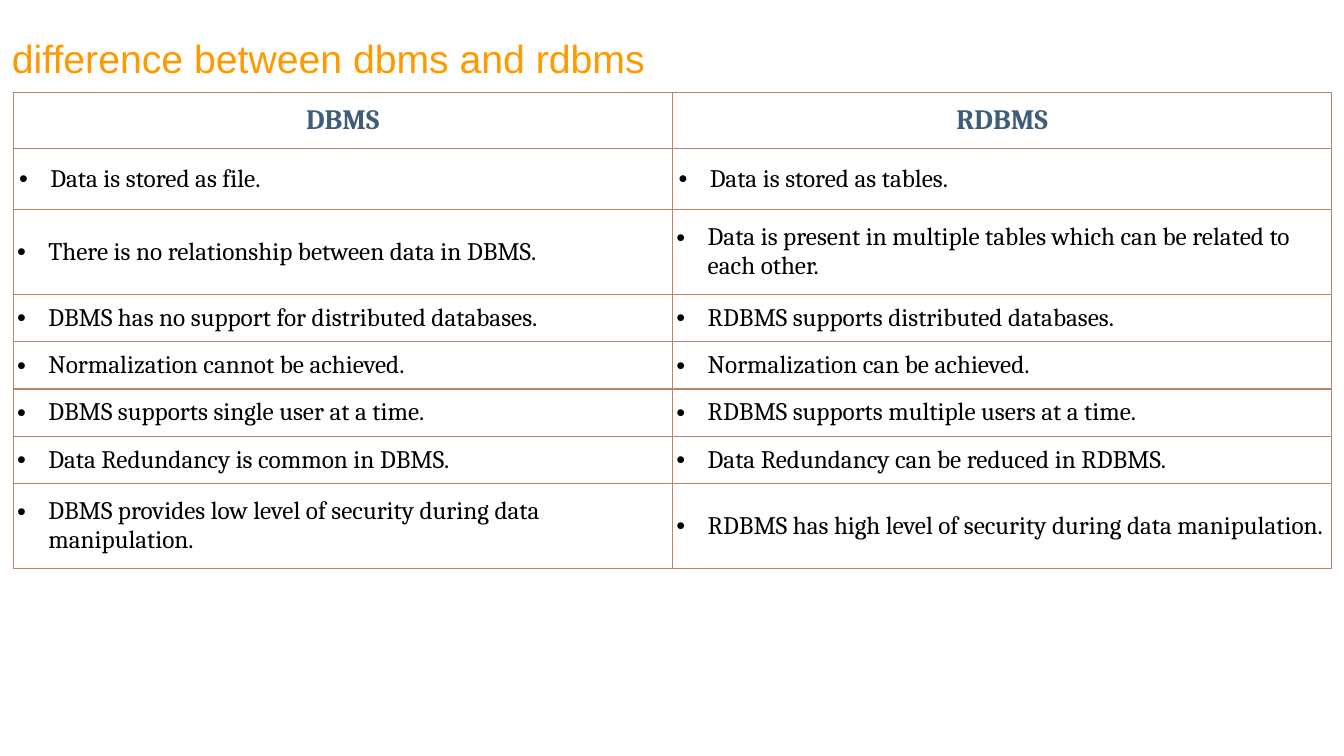
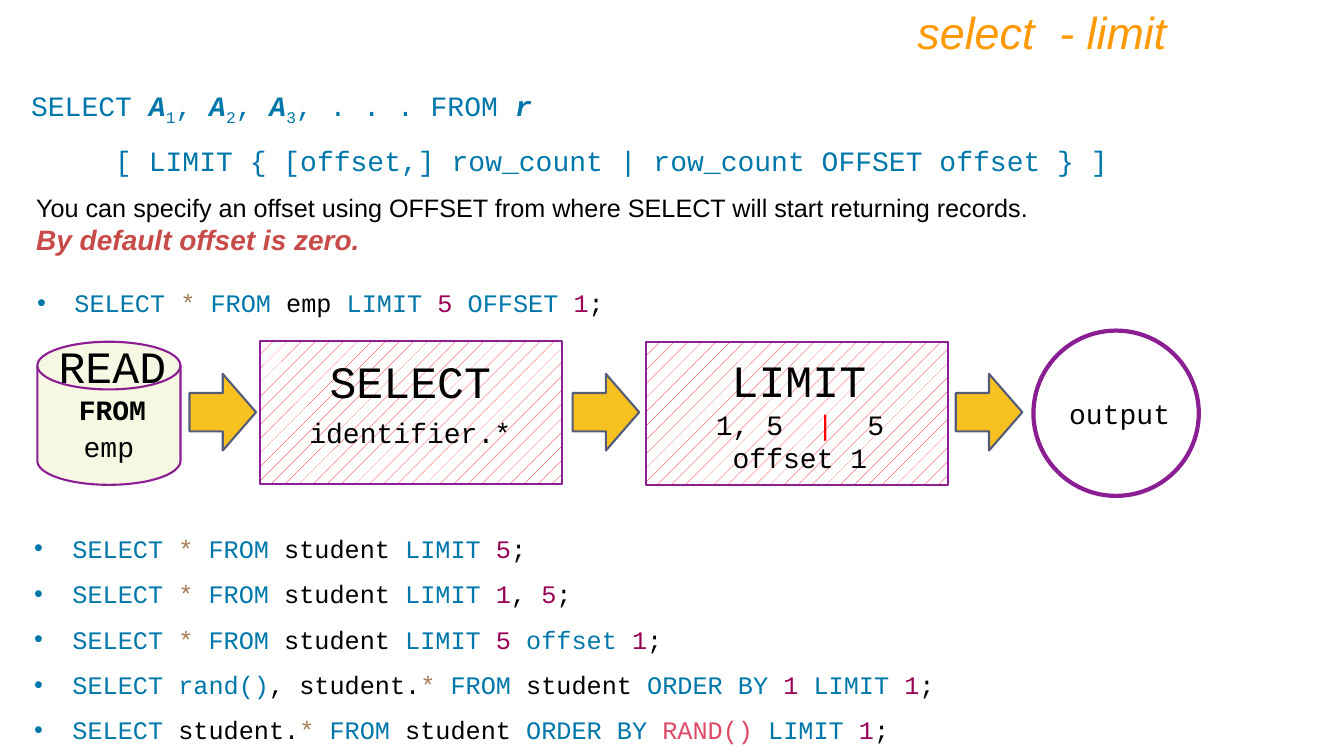
import itertools

import pptx
import pptx.dml.color
import pptx.enum.dml
import pptx.enum.shapes
import pptx.enum.text
import pptx.oxml.ns
import pptx.util
from lxml import etree

Inches = pptx.util.Inches
Pt = pptx.util.Pt
RGBColor = pptx.dml.color.RGBColor
Align = pptx.enum.text.PP_ALIGN
Shape = pptx.enum.shapes.MSO_SHAPE
qn = pptx.oxml.ns.qn

ORANGE = RGBColor(0xFF, 0x99, 0x00)
BLACK = RGBColor(0x00, 0x00, 0x00)
WHITE = RGBColor(0xFF, 0xFF, 0xFF)
RED = RGBColor(0xFF, 0x00, 0x00)
BRICK = RGBColor(0xC7, 0x4C, 0x49)
SLATE = RGBColor(0x3E, 0x5D, 0x78)
BORDER = RGBColor(0xB8, 0x84, 0x72)
PURPLE = RGBColor(0x8A, 0x1E, 0x92)
YELLOW = RGBColor(0xF7, 0xC1, 0x20)
ARROW_EDGE = RGBColor(0x54, 0x5C, 0x79)
CREAM = RGBColor(0xF6, 0xF8, 0xE4)
KEYWORD = RGBColor(0x00, 0x77, 0xAA)
STAR = RGBColor(0xA6, 0x7F, 0x59)
NUMBER = RGBColor(0x99, 0x00, 0x55)
FUNCTION = RGBColor(0xDD, 0x4A, 0x68)

TITLE = {"name": "Arial", "color": ORANGE}
BODY = {"name": "Arial", "size": Pt(18), "color": BLACK}
EMPHASIS = {"name": "Arial", "size": Pt(20), "color": BRICK, "bold": True, "italic": True}
HEADING = {"name": "Cambria", "size": Pt(20), "color": SLATE, "bold": True}
CELL = {"name": "Cambria", "size": Pt(18), "color": BLACK}
STEP = {"name": "Courier New", "size": Pt(32), "color": BLACK}
DETAIL = {**STEP, "size": Pt(20)}
SYNTAX = {**DETAIL, "color": KEYWORD}
VARIABLE = {**SYNTAX, "bold": True, "italic": True}
QUERY = {**STEP, "size": Pt(18)}

SQL_COLORS = {
    **dict.fromkeys(["SELECT", "FROM", "LIMIT", "OFFSET", "offset", "ORDER", "BY", "rand()"], KEYWORD),
    "RAND()": FUNCTION,
    "*": STAR,
}

COMPARISON = [
    ("DBMS", "RDBMS"),
    ("Data is stored as file.", "Data is stored as tables."),
    ("There is no relationship between data in DBMS.",
     "Data is present in multiple tables which can be related to each other."),
    ("DBMS has no support for distributed databases.", "RDBMS supports distributed databases."),
    ("Normalization cannot be achieved.", "Normalization can be achieved."),
    ("DBMS supports single user at a time.", "RDBMS supports multiple users at a time."),
    ("Data Redundancy is common in DBMS.", "Data Redundancy can be reduced in RDBMS."),
    ("DBMS provides low level of security during data manipulation.",
     "RDBMS has high level of security during data manipulation."),
]
ROW_HEIGHTS = [0.55, 0.61, 0.84, 0.47, 0.47, 0.47, 0.47, 0.84]

LIMIT_QUERIES = [
    "SELECT * FROM student LIMIT 5;",
    "SELECT * FROM student LIMIT 1, 5;",
    "SELECT * FROM student LIMIT 5 offset 1;",
    "SELECT rand(), student.* FROM student ORDER BY 1 LIMIT 1;",
    "SELECT student.* FROM student ORDER BY RAND() LIMIT 1;",
]


def set_formats(target, formats):
    for attribute, value in formats.items():
        if attribute == "color":
            target.color.rgb = value
        else:
            setattr(target, attribute, value)


def add_run(paragraph, words, style, baseline=0):
    run = paragraph.add_run()
    run.text = words
    set_formats(run.font, style)
    if baseline:
        run._r.get_or_add_rPr().set("baseline", str(baseline))


def add_bullet(paragraph, indent):
    properties = paragraph._p.get_or_add_pPr()
    properties.set("marL", str(Inches(indent)))
    properties.set("indent", str(-Inches(indent)))
    etree.SubElement(properties, qn("a:buFont")).set("typeface", "Arial")
    etree.SubElement(properties, qn("a:buChar")).set("char", "•")


def add_text(slide, at, lines, bullet=0, wrap=True, **formats):
    frame = slide.shapes.add_textbox(*map(Inches, at)).text_frame
    frame.word_wrap = wrap
    for number, runs in enumerate(lines):
        paragraph = frame.add_paragraph() if number else frame.paragraphs[0]
        if bullet:
            add_bullet(paragraph, bullet)
        set_formats(paragraph, formats)
        for run in runs:
            add_run(paragraph, *run)


def add_label(slide, at, *lines):
    add_text(slide, at, lines, alignment=Align.CENTER)


def add_node(slide, preset, at, edge=PURPLE, weight=1.5, fill=None, hatched=False):
    node = slide.shapes.add_shape(preset, *map(Inches, at))
    node.shadow.inherit = False
    if hatched:
        node.fill.patterned()
        node.fill.pattern = pptx.enum.dml.MSO_PATTERN.PERCENT_5
        node.fill.fore_color.rgb = RED
        node.fill.back_color.rgb = WHITE
    elif fill is not None:
        node.fill.solid()
        node.fill.fore_color.rgb = fill
    else:
        node.fill.background()
    set_formats(node.line, {"color": edge, "width": Pt(weight)})


def add_borders(cell):
    properties = cell._tc.get_or_add_tcPr()
    for position, side in enumerate(["lnL", "lnR", "lnT", "lnB"]):
        line = etree.Element(qn(f"a:{side}"), w=str(Pt(1)))
        fill = etree.SubElement(line, qn("a:solidFill"))
        etree.SubElement(fill, qn("a:srgbClr")).set("val", str(BORDER))
        properties.insert(position, line)


def fill_cell(cell, words, row):
    margin = Inches(0.06 if row < 2 else 0.04)
    set_formats(cell, {
        "margin_left": margin, "margin_right": margin,
        "margin_top": margin, "margin_bottom": margin,
        "vertical_anchor": pptx.enum.text.MSO_ANCHOR.MIDDLE,
    })
    cell.fill.background()
    add_borders(cell)
    paragraph = cell.text_frame.paragraphs[0]
    if row == 0:
        paragraph.alignment = Align.CENTER
    else:
        add_bullet(paragraph, 0.31)
    add_run(paragraph, words, CELL if row else HEADING)


def add_comparison(slide):
    frame = slide.shapes.add_table(
        len(COMPARISON), 2, Inches(0.13), Inches(0.92), Inches(13.08), Inches(sum(ROW_HEIGHTS)))
    table = frame.table
    for column in table.columns:
        column.width = Inches(6.54)
    for row, (height, entries) in enumerate(zip(ROW_HEIGHTS, COMPARISON)):
        table.rows[row].height = Inches(height)
        for column, words in enumerate(entries):
            fill_cell(table.cell(row, column), words, row)


def token_kind(character):
    if character == "*":
        return "star"
    return "word" if character.isalnum() or character in "()" else "plain"


def highlight(query):
    runs = []
    for _, characters in itertools.groupby(query, token_kind):
        token = "".join(characters)
        color = NUMBER if token.isdigit() else SQL_COLORS.get(token, BLACK)
        runs.append((token, {**QUERY, "color": color}))
    return runs


def add_queries(slide, at, queries, indent):
    add_text(slide, at, map(highlight, queries), bullet=indent, line_spacing=1.5)


def add_syntax(slide):
    select = [("SELECT ", SYNTAX)]
    for number in "123":
        select += [("A", VARIABLE), (number, SYNTAX, -25000), (", ", SYNTAX)]
    select += [(". . . FROM ", SYNTAX), ("r", VARIABLE)]
    limit = [("     [ LIMIT { [offset,] row_count | row_count OFFSET offset } ]", SYNTAX)]
    add_text(slide, (0.21, 0.64, 12.52, 1.06), [select, limit], line_spacing=1.5)


def add_pipeline(slide):
    add_node(slide, Shape.FLOWCHART_MAGNETIC_DISK, (0.37, 3.39, 1.42, 1.42), fill=CREAM)
    for left, top in [(2.58, 3.38), (6.41, 3.39)]:
        add_node(slide, Shape.RECTANGLE, (left, top, 2.99, 1.42), hatched=True)
    add_node(slide, Shape.OVAL, (10.25, 3.28, 1.64, 1.64), weight=3)
    for step in range(3):
        add_node(slide, Shape.RIGHT_ARROW, (1.88 + 3.8 * step, 3.71, 0.66, 0.76),
                 edge=ARROW_EDGE, fill=YELLOW)

    add_label(slide, (0.39, 3.31, 1.45, 0.98), [("READ", STEP)], [("FROM", {**DETAIL, "bold": True})])
    add_label(slide, (0.39, 4.21, 1.38, 0.44), [("emp", DETAIL)])
    add_label(slide, (2.58, 3.46, 2.98, 0.64), [("SELECT", STEP)])
    add_label(slide, (2.58, 4.07, 2.98, 0.44), [("identifier.*", DETAIL)])
    add_label(slide, (6.46, 3.45, 2.93, 0.64), [("LIMIT", STEP)])
    add_label(slide, (6.47, 3.99, 2.93, 0.44),
              [("1, 5  ", DETAIL), ("|", {**DETAIL, "color": RED}), ("  5 offset 1", DETAIL)])
    add_label(slide, (10.31, 3.88, 1.59, 0.44), [("output", DETAIL)])


def build_comparison_slide(slide):
    add_text(slide, (0.02, 0.29, 6.56, 0.57),
             [[("difference between dbms and rdbms", {**TITLE, "size": Pt(28)})]], wrap=False)
    add_comparison(slide)


def build_limit_slide(slide):
    add_text(slide, (1.67, 0, 10, 0.64),
             [[("select  - limit", {**TITLE, "size": Pt(32), "italic": True})]], alignment=Align.RIGHT)
    add_syntax(slide)
    add_text(slide, (0.26, 1.86, 10.39, 0.74), [[
        ("You can specify an offset using OFFSET from where SELECT will start returning records. ", BODY),
        ("By default offset is zero.", EMPHASIS),
    ]])
    add_queries(slide, (0.27, 2.65, 12.42, 0.51), ["SELECT * FROM emp LIMIT 5 OFFSET 1;"], 0.37)
    add_pipeline(slide)
    add_queries(slide, (0.24, 5.09, 12.42, 2.33), LIMIT_QUERIES, 0.38)


def main():
    deck = pptx.Presentation()
    set_formats(deck, {"slide_width": Inches(13.33), "slide_height": Inches(7.5)})
    for build in (build_comparison_slide, build_limit_slide):
        build(deck.slides.add_slide(deck.slide_layouts[6]))
    deck.save("out.pptx")


if __name__ == "__main__":
    main()
